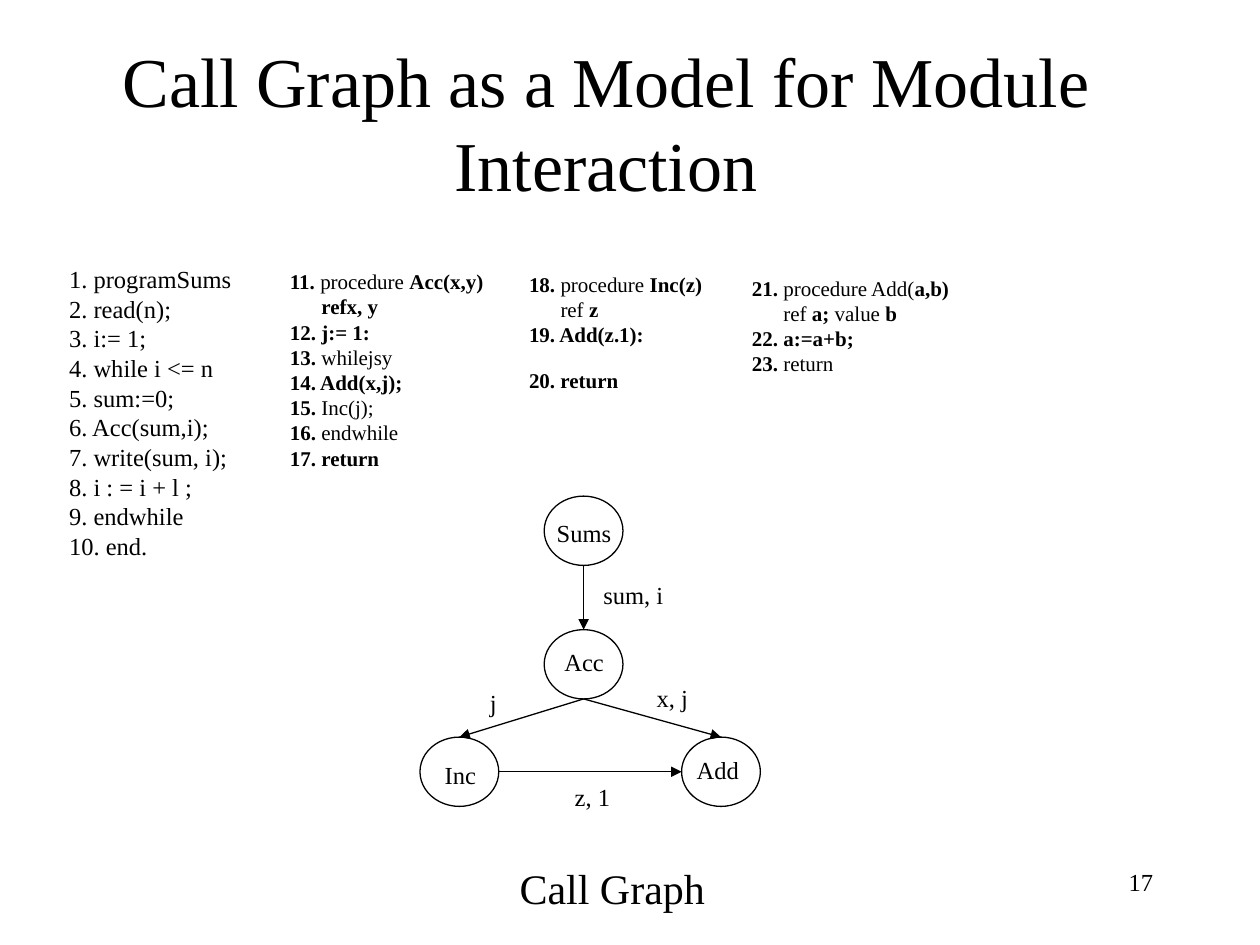
from lxml import etree
from pptx import Presentation
from pptx import util as u
from pptx.dml.color import RGBColor
from pptx.enum import shapes, text
from pptx.oxml.ns import qn

FONT = "Times New Roman"
BLACK = "000000"
NODE_WIDTH, NODE_HEIGHT = 45, 39.6
SIDES = {"top": (0.5, 0), "left": (0, 0.5), "bottom": (0.5, 1), "right": (1, 0.5)}

PROGRAM = [
    "1. programSums", "2. read(n);", "3. i:= 1;", "4. while i <= n", "5. sum:=0;",
    "6. Acc(sum,i);", "7. write(sum, i);", "8. i : = i + l ;", "9. endwhile", "10. end.",
]
PROCEDURES = [
    ((158.6, 150, 130, 122.4), [
        "*11. *procedure *Acc(x,y)*", "*refx, y*", "*12. j:= 1:*", "*13. *whilejsy",
        "*14. Add(x,j);*", "*15. *Inc(j);", "*16. *endwhile", "*17. return*"]),
    ((295.2, 151.5, 118, 79.2), [
        "*18. *procedure *Inc(z)*", "ref *z*", "*19. Add(z.1):*", "*20. return*"]),
    ((422.6, 153.7, 130, 64.8), [
        "*21. *procedure Add(*a,b)*", "ref *a; *value *b*", "*22. a:=a+b;*", "*23. *return"]),
]
NODES = {"Sums": (311, 283.5), "Acc": (311, 359.8), "Add": (389.5, 421.2), "Inc": (240, 421.2)}
CALLS = [
    ("Sums", "bottom", "Acc", "top"),
    ("Acc", "bottom", "Inc", "top"),
    ("Acc", "bottom", "Add", "top"),
    ("Inc", "right", "Add", "left"),
]
LABELS = [
    ("Sums", 311, 292.6, 48), ("Acc", 315.4, 366.2, 40),
    ("Inc", 247, 430.6, 35), ("Add", 391, 427.7, 41),
    ("sum, i", 337.7, 327.8, 52), ("j", 272.9, 389.7, 21),
    ("x, j", 368.1, 386.6, 35), ("z, 1", 321.3, 443.5, 37),
]


def color(value):
    """Return the colour for a hex string."""
    return RGBColor.from_string(value)


def add_text(slide, lines, box, size=14, wrap=False, align=text.PP_ALIGN.LEFT,
             anchor=text.MSO_ANCHOR.TOP, spacing=None, before=0):
    """Add a text box whose parts between asterisks are bold and return its paragraphs."""
    frame = slide.shapes.add_textbox(*map(u.Pt, box)).text_frame
    frame.word_wrap = wrap
    frame.auto_size = text.MSO_AUTO_SIZE.NONE if wrap else text.MSO_AUTO_SIZE.SHAPE_TO_FIT_TEXT
    frame.vertical_anchor = anchor
    for index, line in enumerate(lines):
        paragraph = frame.add_paragraph() if index else frame.paragraphs[0]
        paragraph.alignment = align
        paragraph.line_spacing = spacing
        paragraph.space_before = u.Pt(before)
        for position, part in enumerate(line.split("*")):
            if part:
                run = paragraph.add_run()
                run.text = part
                run.font.name = FONT
                run.font.size = u.Pt(size)
                run.font.bold = position % 2 == 1
                run.font.color.rgb = color(BLACK)
    return frame.paragraphs


def set_indent(paragraph, left, first=0):
    """Set the left margin and the first line indent of a paragraph."""
    properties = paragraph._p.get_or_add_pPr()
    properties.set("marL", str(u.Pt(left)))
    properties.set("indent", str(u.Pt(first)))


def add_node(slide, left, top):
    """Add an outlined ellipse for a module."""
    node = slide.shapes.add_shape(shapes.MSO_SHAPE.OVAL, u.Pt(left), u.Pt(top),
                                  u.Pt(NODE_WIDTH), u.Pt(NODE_HEIGHT))
    node.shadow.inherit = False
    node.fill.background()
    node.line.color.rgb = color(BLACK)
    node.line.width = u.Pt(0.75)


def side_point(name, side):
    """Return the middle of a side of a node."""
    left, top = NODES[name]
    across, down = SIDES[side]
    return u.Pt(left + across * NODE_WIDTH), u.Pt(top + down * NODE_HEIGHT)


def add_arrow(slide, start, end):
    """Add a straight arrow between two points."""
    arrow = slide.shapes.add_connector(shapes.MSO_CONNECTOR.STRAIGHT, *start, *end)
    arrow.line.color.rgb = color(BLACK)
    arrow.line.width = u.Pt(0.75)
    etree.SubElement(arrow.line._get_or_add_ln(), qn("a:tailEnd"), type="triangle")
    etree.SubElement(arrow._element.spPr, qn("a:effectLst"))


def add_code(slide):
    """Add the main program and the three procedures."""
    for paragraph in add_text(slide, PROGRAM, (32.4, 150.7, 119.5, 180),
                              wrap=True, spacing=0.8, before=3.5):
        set_indent(paragraph, 27, -27)
    for box, lines in PROCEDURES:
        for paragraph in add_text(slide, lines, box, size=12):
            if paragraph.text.startswith("ref"):
                set_indent(paragraph, 18)
            elif paragraph.text.startswith("20."):
                paragraph.space_before = u.Pt(12)


def add_call_graph(slide):
    """Add the modules, the calls between them and their labels."""
    for left, top in NODES.values():
        add_node(slide, left, top)
    for caller, start, callee, end in CALLS:
        add_arrow(slide, side_point(caller, start), side_point(callee, end))
    for label, left, top, width in LABELS:
        add_text(slide, [label], (left, top, width, 24.5))


def main():
    """Build the slide and save it."""
    presentation = Presentation()
    presentation.slide_width, presentation.slide_height = u.Pt(720), u.Pt(540)
    slide = presentation.slides.add_slide(presentation.slide_layouts[6])
    add_text(slide, ["17"], (516.2, 491.8, 149.8, 36), wrap=True, align=text.PP_ALIGN.RIGHT)
    add_text(slide, ["Call Graph as a Model for Module Interaction"],
             (27, 24.5, 638.6, 90), size=40, wrap=True,
             align=text.PP_ALIGN.CENTER, anchor=text.MSO_ANCHOR.MIDDLE)
    add_code(slide)
    add_call_graph(slide)
    add_text(slide, ["Call Graph"], (289.8, 489.6, 123, 36), size=24)
    presentation.save("out.pptx")


if __name__ == "__main__":
    main()
